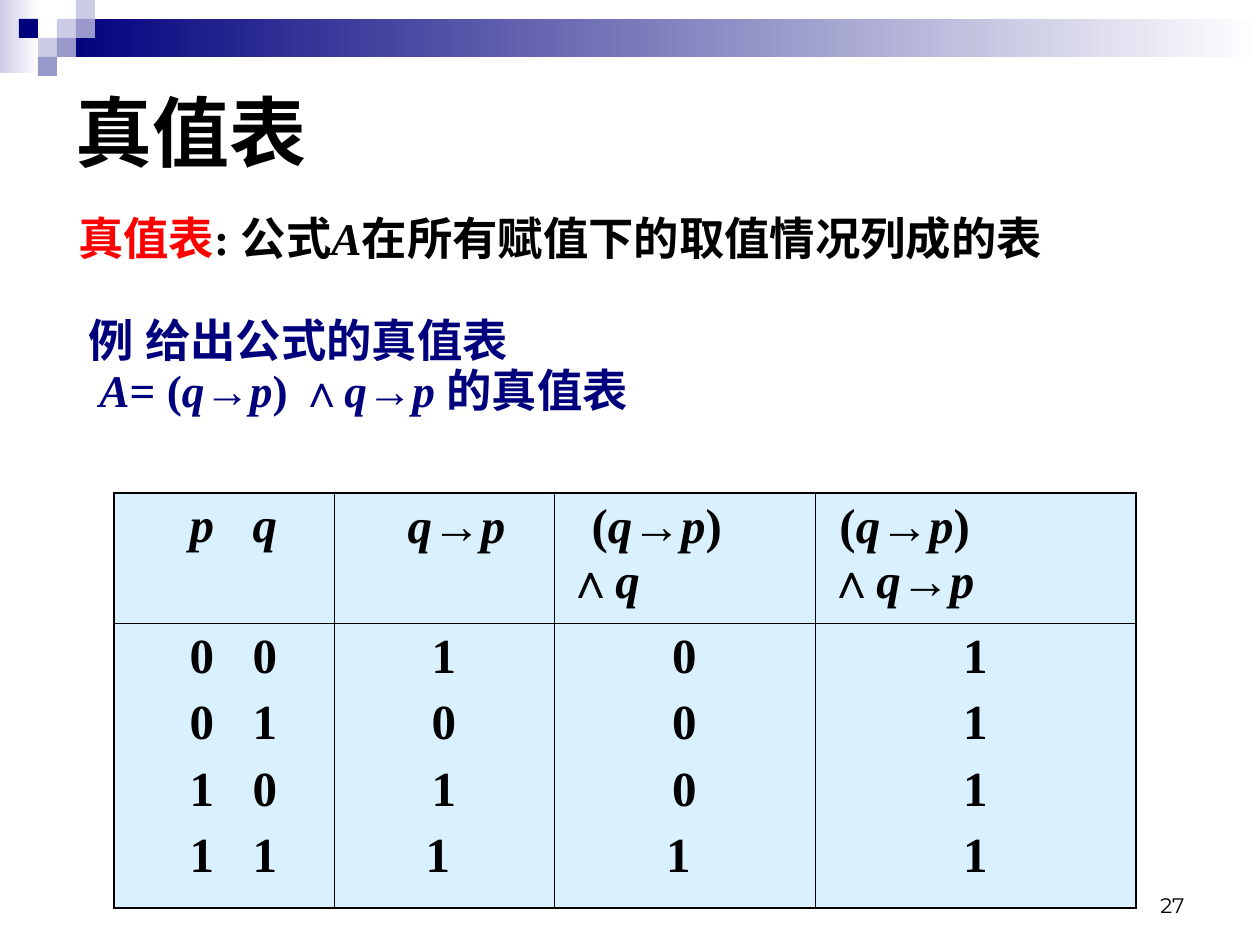
from dataclasses import dataclass
from itertools import groupby
from lxml import etree
from pptx import Presentation
from pptx import util as u
from pptx.dml.color import RGBColor
from pptx.enum import shapes, text
from pptx.oxml import ns


@dataclass(frozen=True)
class Theme:
    ink: str = "000000"
    navy: str = "00007D"
    mid: str = "9999CC"
    pale: str = "CCCCE6"
    red: str = "FF0000"
    white: str = "FFFFFF"
    cell: str = "D9F1FF"
    han: str = "Noto Sans CJK SC"
    serif: str = "Times New Roman"
    sans: str = "Arial"
    page: str = "Montserrat"
    title: float = 44
    body: float = 25.9
    lead: float = 29.6
    table: float = 28
    small: float = 12
    gap: float = 7
    thin: float = 0.45
    thick: float = 1.08


T = Theme()
MID, TOP, END = text.MSO_ANCHOR.MIDDLE, text.MSO_ANCHOR.TOP, text.MSO_ANCHOR.BOTTOM
LEFT, MIDDLE, RIGHT = text.PP_ALIGN.LEFT, text.PP_ALIGN.CENTER, text.PP_ALIGN.RIGHT


def px(n):
    return u.Emu(round(n * 914400 / 126))


def rgb(code):
    return RGBColor.from_string(code)


def sub(node, tag, **attrs):
    return etree.SubElement(node, ns.qn(tag), {k: str(v) for k, v in attrs.items()})


def style(char):
    if char in "Apq":
        return T.serif, True
    if char in "→∧":
        return T.sans, False
    return (T.han if char >= "\u4e00" else T.serif), False


def write(para, words, size=T.body, color=T.ink, font=None, bold=True,
          align=LEFT, left=0, first=0, tabs=(), before=0, line=None):
    props = para._p.get_or_add_pPr()
    props.set("marL", str(px(left)))
    props.set("indent", str(px(first)))
    if tabs and props.find(ns.qn("a:tabLst")) is None:
        stops = sub(props, "a:tabLst")
        for stop in tabs:
            sub(stops, "a:tab", pos=px(stop), algn="l")
    para.alignment = align
    para.space_before = u.Pt(before)
    if line:
        para.line_spacing = line
    for (face, slant), chars in groupby(words, style):
        run = para.add_run()
        run.text = "".join(chars)
        run.font.name = font or face
        run.font.size = u.Pt(size)
        run.font.bold = bold
        run.font.italic = slant
        run.font.color.rgb = rgb(color)
        sub(run._r.get_or_add_rPr(), "a:ea", typeface=font or face)


def frame(slide, x, y, w, h, anchor=TOP):
    box = slide.shapes.add_textbox(px(x), px(y), px(w), px(h)).text_frame
    box.word_wrap = True
    box.vertical_anchor = anchor
    return box


def rect(slide, x, y, w, h, color, fade=False):
    shape = slide.shapes.add_shape(shapes.MSO_SHAPE.RECTANGLE, px(x), px(y), px(w), px(h))
    shape.shadow.inherit = False
    shape.line.fill.background()
    if fade:
        shape.fill.gradient()
        shape.fill.gradient_angle = 180
        for stop, code in zip(shape.fill.gradient_stops, (T.white, color)):
            stop.color.rgb = rgb(code)
    else:
        shape.fill.solid()
        shape.fill.fore_color.rgb = rgb(color)


def banner(slide):
    rect(slide, 0, 0, 39, 73, T.pale, fade=True)
    rect(slide, 57, 19, 1203, 38, T.navy, fade=True)
    side = 19
    squares = ((3, 1, T.pale), (4, 0, T.pale), (4, 1, T.mid), (2, 2, T.pale),
               (1, 1, T.navy), (3, 2, T.mid), (2, 3, T.mid))
    for col, row, color in squares:
        rect(slide, col * side, row * side, side, side, color)


def body(slide):
    box = frame(slide, 54, 214, 1101, 248)
    para = box.paragraphs[0]
    write(para, " ", size=T.lead, font=T.han, line=0.7)
    write(para, "真值表", color=T.red, line=0.7)
    write(para, ": 公式A在所有赋值下的取值情况列成的表", line=0.7)
    write(box.add_paragraph(), "例 给出公式的真值表",
          color=T.navy, left=22, before=36, line=0.7)
    write(box.add_paragraph(), "A= (q→p) ∧q→p 的真值表",
          color=T.navy, left=33, before=T.gap, line=0.7)


def paint(cell, edges):
    props = cell._tc.get_or_add_tcPr()
    for side, outer in zip("LRTB", edges):
        line = sub(props, "a:ln" + side, w=u.Pt(T.thick if outer else T.thin))
        sub(sub(line, "a:solidFill"), "a:srgbClr", val=T.ink)
    cell.fill.solid()
    cell.fill.fore_color.rgb = rgb(T.cell)


def truth(slide):
    widths, heights = (220, 220, 261, 321), (87, 285)
    table = slide.shapes.add_table(2, 4, px(114), px(493), px(sum(widths)),
                                   px(sum(heights))).table
    table.first_row = table.horz_banding = False
    for col, width in zip(table.columns, widths):
        col.width = px(width)
    for row, height in zip(table.rows, heights):
        row.height = px(height)
    for r in range(2):
        for c in range(4):
            paint(table.cell(r, c), (c == 0, c == 3, r == 0, r == 1))
    heads = (("\tp\tq", 0, (61, 123)), ("q→p", 61, ()),
             ("(q→p) ∧q", 25, ()), ("(q→p) ∧q→p", 12, ()))
    for c, (words, first, tabs) in enumerate(heads):
        write(table.cell(0, c).text_frame.paragraphs[0], words,
              size=T.table, first=first, tabs=tabs)
    values = (("\t0\t0", "\t0\t1", "\t1\t0", "\t1\t1"),
              ("1", "0", "1", "1 "), ("0", "0", "0", "1 "), ("1", "1", "1", "1"))
    for c, column in enumerate(values):
        box = table.cell(1, c).text_frame
        for r, words in enumerate(column):
            para = box.add_paragraph() if r else box.paragraphs[0]
            start = 49 if r == 3 else 55
            write(para, words, size=T.table, before=T.gap if r else 0,
                  align=MIDDLE if c else LEFT,
                  tabs=() if c else (start, start + 61))


def main():
    deck = Presentation()
    deck.slide_width, deck.slide_height = px(1260), px(945)
    slide = deck.slides.add_slide(deck.slide_layouts[6])
    banner(slide)
    write(frame(slide, 63, 63, 1134, 136, MID).paragraphs[0], "真值表", size=T.title)
    body(slide)
    truth(slide)
    write(frame(slide, 903, 861, 294, 63, END).paragraphs[0], "27",
          size=T.small, font=T.page, bold=False, align=RIGHT)
    deck.save("out.pptx")


if __name__ == "__main__":
    main()
